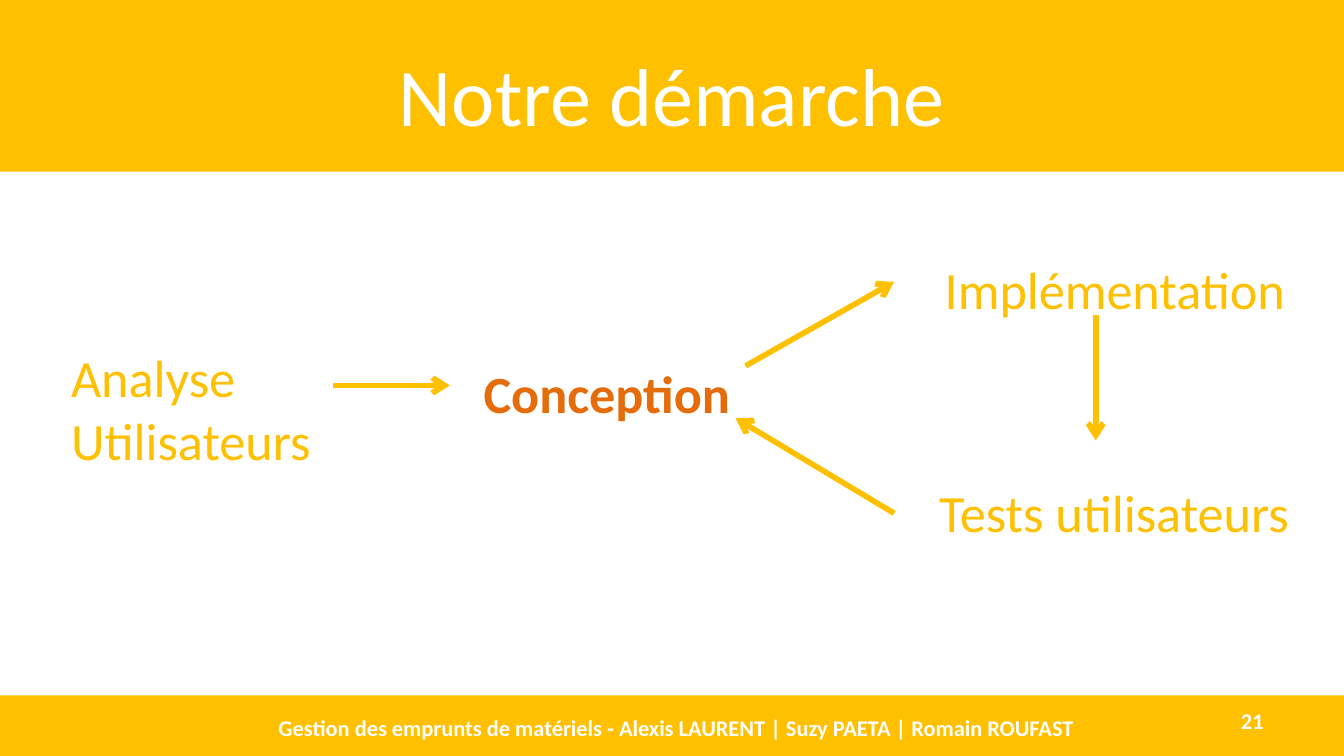
from pptx import Presentation
from pptx.dml.color import RGBColor
from pptx.enum.shapes import MSO_CONNECTOR as Connector, MSO_SHAPE as Shape
from pptx.enum.text import MSO_ANCHOR as Anchor, MSO_AUTO_SIZE as AutoSize, PP_ALIGN as Align
from pptx.oxml.ns import qn
from pptx.util import Pt
from lxml.etree import SubElement

AMBER = RGBColor(0xFF, 0xC0, 0x00)
ORANGE = RGBColor(0xE4, 0x6C, 0x0A)
WHITE = RGBColor(0xFF, 0xFF, 0xFF)
WIDTH, HEIGHT = 720, 405
HEADER_HEIGHT, FOOTER_TOP = 92, 372.5


class SlideBuilder:
    font = "Calibri"
    step_size = 28
    footer_size = 12
    arrow_width = 3

    def __init__(self, page):
        self.page = page

    def fill_text(self, box, text, size, color, bold=False, align=Align.LEFT, anchor=Anchor.TOP):
        frame = box.text_frame
        frame.text = text
        frame.word_wrap = True
        frame.vertical_anchor = anchor
        para = frame.paragraphs[0]
        para.alignment = align
        for span in para.runs:
            span.font.name = self.font
            span.font.size = Pt(size)
            span.font.bold = bold
            span.font.color.rgb = color

    def band(self, top, height):
        """Add a full-width amber band behind everything else."""
        band = self.page.shapes.add_shape(Shape.RECTANGLE, 0, Pt(top), Pt(WIDTH), Pt(height))
        band.shadow.inherit = False
        band.fill.solid()
        band.fill.fore_color.rgb = AMBER
        band.line.fill.background()
        self.page.shapes.element.insert(2, band.element)

    def title(self, text, left, top, width, height):
        title = self.page.shapes.title
        title.left, title.top, title.width, title.height = map(Pt, (left, top, width, height))
        self.fill_text(title, text, 44, WHITE, align=Align.CENTER, anchor=Anchor.MIDDLE)

    def footer(self, text, left, top, width, height, align):
        box = self.page.shapes.add_textbox(*map(Pt, (left, top, width, height)))
        self.fill_text(box, text, self.footer_size, WHITE, True, align, Anchor.MIDDLE)

    def step(self, text, left, top, width, height=41, color=AMBER, bold=False):
        box = self.page.shapes.add_textbox(*map(Pt, (left, top, width, height)))
        self.fill_text(box, text, self.step_size, color, bold)
        box.text_frame.auto_size = AutoSize.SHAPE_TO_FIT_TEXT

    def arrow(self, start, end):
        arrow = self.page.shapes.add_connector(Connector.STRAIGHT, *map(Pt, start + end))
        arrow.line.color.rgb = AMBER
        arrow.line.width = Pt(self.arrow_width)
        properties = arrow.element.spPr
        SubElement(properties.find(qn("a:ln")), qn("a:tailEnd"), type="arrow")
        SubElement(properties, qn("a:effectLst"))


def main():
    deck = Presentation()
    deck.slide_width, deck.slide_height = Pt(WIDTH), Pt(HEIGHT)
    slide = SlideBuilder(deck.slides.add_slide(deck.slide_layouts[5]))

    slide.band(0, HEADER_HEIGHT)
    slide.band(FOOTER_TOP, HEIGHT - FOOTER_TOP)
    slide.title("Notre démarche", 36, 16.5, 648, 67.5)
    slide.footer("21", 516, 375, 168, 21.5, Align.RIGHT)
    slide.footer("Gestion des emprunts de matériels - Alexis LAURENT | Suzy PAETA | Romain ROUFAST",
                 116, 375, 493, 30, Align.CENTER)

    slide.step("Analyse Utilisateurs", 31, 181.5, 164, height=75)
    slide.step("Conception", 252, 190, 164, color=ORANGE, bold=True)
    slide.step("Implémentation", 499, 134.5, 221)
    slide.step("Tests utilisateurs", 496, 253.5, 221)

    slide.arrow((178.5, 206.5), (241, 206.5))
    slide.arrow((399.5, 196), (479, 151))
    slide.arrow((587, 168.5), (587, 236))
    slide.arrow((479, 275), (394, 224))

    deck.save("out.pptx")


if __name__ == "__main__":
    main()
